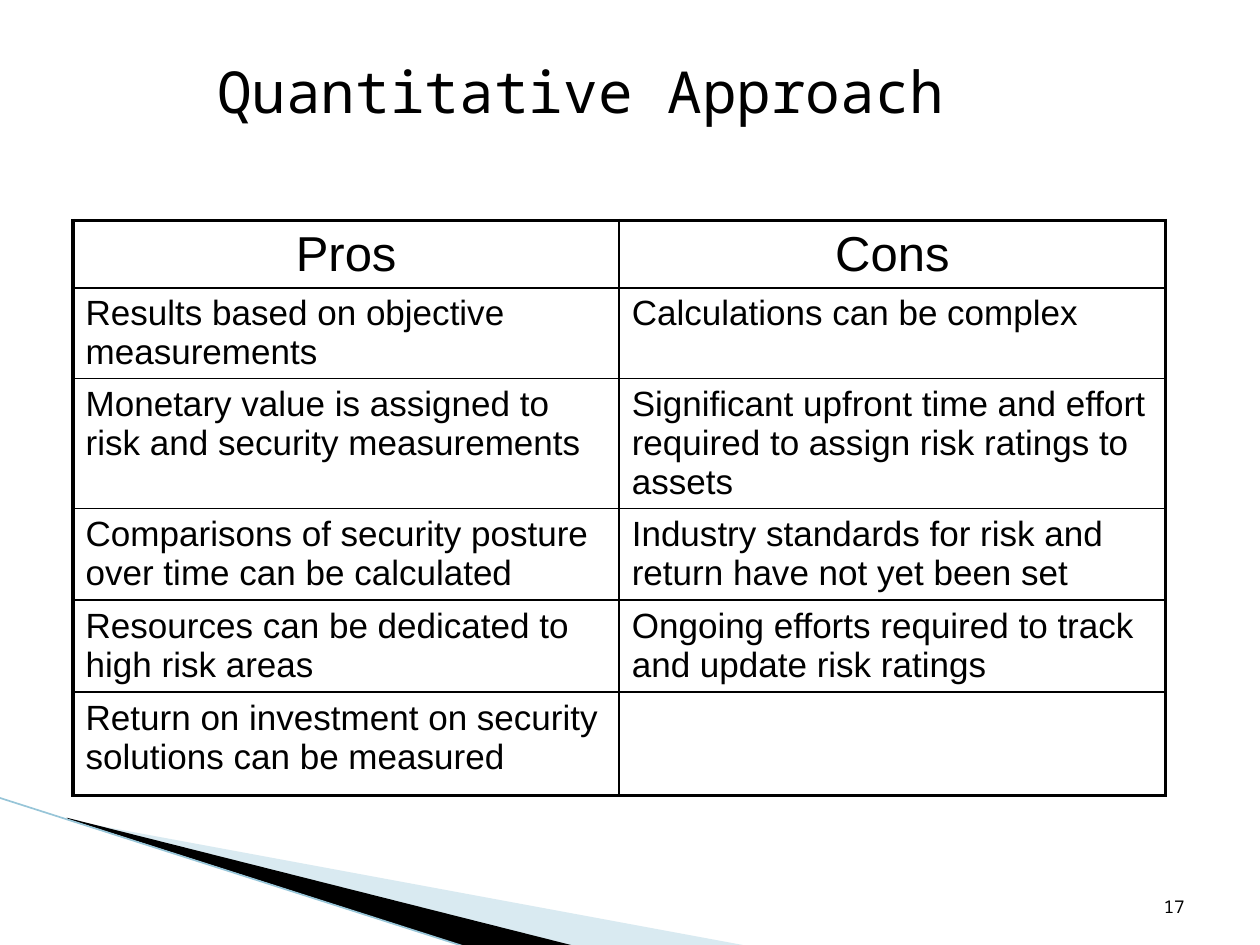
import pptx
import pptx.util
import pptx.dml.color
import pptx.enum.shapes
import pptx.enum.text
import pptx.oxml.ns
from lxml import etree

Inches, Pt = pptx.util.Inches, pptx.util.Pt
ALIGN, ANCHOR = pptx.enum.text.PP_ALIGN, pptx.enum.text.MSO_ANCHOR
MONO = "Noto Sans Mono"
HUES = {"ink": "000000", "mist": "A0CBDC", "edge": "97C5D8"}
ROWS = [
    ("Pros", "Cons"),
    ("Results based on objective measurements", "Calculations can be complex"),
    ("Monetary value is assigned to risk and security measurements",
     "Significant upfront time and effort required to assign risk ratings to assets"),
    ("Comparisons of security posture over time can be calculated",
     "Industry standards for risk and return have not yet been set"),
    ("Resources can be dedicated to high risk areas",
     "Ongoing efforts required to track and update risk ratings"),
    ("Return on investment on security solutions can be measured", ""),
]
HEIGHTS = [0.5, 0.72, 0.75, 0.73, 0.73, 0.82]


def color(name):
    """Return the named colour."""
    return pptx.dml.color.RGBColor.from_string(HUES[name])


def add_tag(node, tag, **attrs):
    """Append a DrawingML child to a node."""
    return etree.SubElement(node, pptx.oxml.ns.qn(tag), **attrs)


def style(para, size, face, align):
    """Set the font and alignment of a paragraph."""
    para.font.size = Pt(size)
    para.font.name = face
    para.font.color.rgb = color("ink")
    para.alignment = align


def add_wedge(slide, points, hue, alpha=None):
    """Draw a filled outline through points, given in inches."""
    spots = [(Inches(x), Inches(y)) for x, y in points]
    form = slide.shapes.build_freeform(*spots[0])
    form.add_line_segments(spots[1:], close=True)
    wedge = form.convert_to_shape()
    wedge.shadow.inherit = False
    wedge.line.fill.background()
    wedge.fill.solid()
    wedge.fill.fore_color.rgb = color(hue)
    if alpha:
        tone = wedge._element.spPr.find(".//" + pptx.oxml.ns.qn("a:srgbClr"))
        add_tag(tone, "a:alpha", val=str(alpha * 1000))


def add_edge(slide):
    """Draw the thin line along the wedges."""
    edge = slide.shapes.add_connector(
        pptx.enum.shapes.MSO_CONNECTOR.STRAIGHT,
        Inches(-0.01), Inches(6.33), Inches(3.71), Inches(7.52))
    edge.line.color.rgb = color("edge")
    edge.line.width = Pt(0.95)
    add_tag(edge._element.spPr, "a:effectLst")


def set_title(slide, text):
    """Place and format the title."""
    title = slide.shapes.title
    title.left, title.top = Inches(1.09), Inches(0.39)
    title.width, title.height = Inches(6.92), Inches(0.67)
    frame = title.text_frame
    frame.text = text
    frame.vertical_anchor = ANCHOR.TOP
    frame.margin_left = Inches(0.22)
    para = frame.paragraphs[0]
    para.space_before = Pt(4)
    style(para, 33, MONO, ALIGN.CENTER)


def set_border(cell, side, width):
    """Draw one border of a cell."""
    line = add_tag(cell._tc.get_or_add_tcPr(), "a:ln" + side, w=str(Pt(width)))
    add_tag(add_tag(line, "a:solidFill"), "a:srgbClr", val=HUES["ink"])


def add_grid(slide):
    """Add the table of pros and cons."""
    count = len(ROWS)
    grid = slide.shapes.add_table(
        count, 2, Inches(0.58), Inches(1.75), Inches(8.67),
        Inches(sum(HEIGHTS))).table
    grid.first_row = grid.horz_banding = False
    for row, height in zip(grid.rows, HEIGHTS):
        row.height = Inches(height)
    for r, texts in enumerate(ROWS):
        for c, text in enumerate(texts):
            cell = grid.cell(r, c)
            cell.text = text
            head = r == 0
            style(cell.text_frame.paragraphs[0], 28 if head else 20, "Arial",
                  ALIGN.CENTER if head else ALIGN.LEFT)
            outer = {"L": c == 0, "R": c == 1, "T": head, "B": r == count - 1}
            for side, thick in outer.items():
                set_border(cell, side, 2.25 if thick else 1)
            cell.fill.background()


def add_number(slide, text):
    """Add the page number."""
    box = slide.shapes.add_textbox(
        Inches(7.17), Inches(6.83), Inches(2.33), Inches(0.5))
    frame = box.text_frame
    frame.word_wrap = True
    frame.vertical_anchor = ANCHOR.BOTTOM
    frame.text = text
    style(frame.paragraphs[0], 10, MONO, ALIGN.RIGHT)


def main():
    """Build and save the slide."""
    deck = pptx.Presentation()
    deck.slide_width, deck.slide_height = Inches(10), Inches(7.5)
    slide = deck.slides.add_slide(deck.slide_layouts[5])
    add_wedge(slide, [(0.55, 6.51), (5.95, 7.51), (4.56, 7.51), (0.55, 6.5)],
              "mist", 40)
    add_wedge(slide, [(0.53, 6.49), (4.57, 7.51), (3.72, 7.52), (0.54, 6.5)],
              "ink")
    add_edge(slide)
    set_title(slide, "Quantitative Approach")
    add_grid(slide)
    add_number(slide, "17")
    deck.save("out.pptx")


if __name__ == "__main__":
    main()
